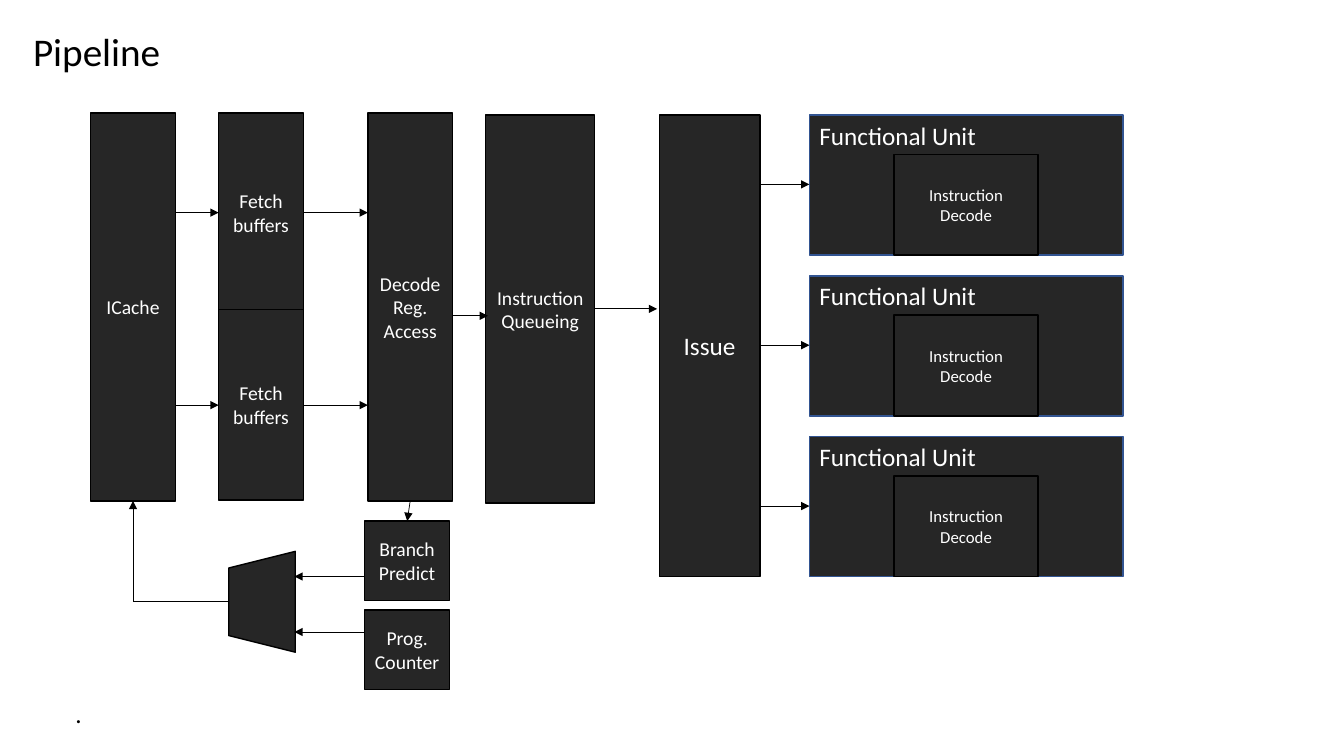
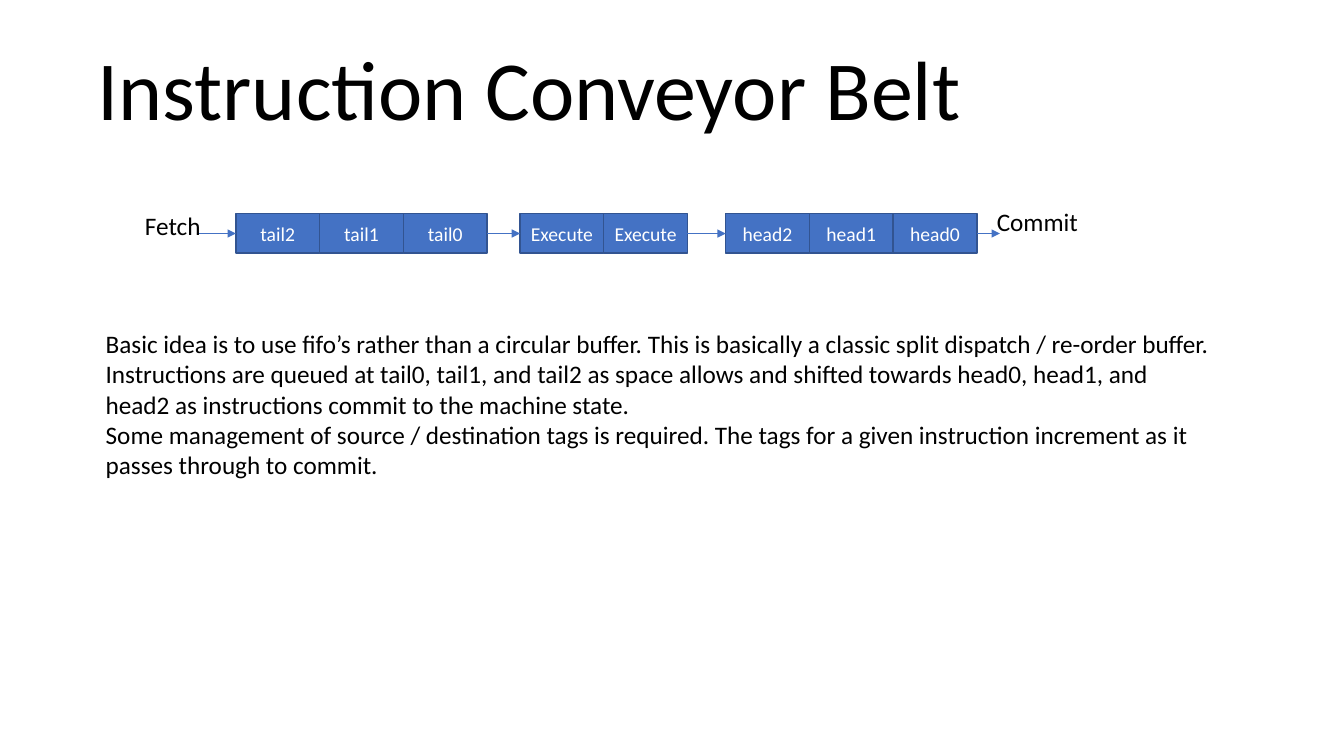
from lxml import etree
from pptx import Presentation
from pptx.dml.color import RGBColor
from pptx.enum.shapes import MSO_CONNECTOR, MSO_SHAPE
from pptx.enum.text import MSO_ANCHOR, PP_ALIGN
from pptx.oxml.ns import qn
from pptx.util import Pt

RECTANGLE, TRAPEZOID = MSO_SHAPE.RECTANGLE, MSO_SHAPE.TRAPEZOID
STRAIGHT = MSO_CONNECTOR.STRAIGHT
LEFT, CENTER = PP_ALIGN.LEFT, PP_ALIGN.CENTER
TOP, MIDDLE, BOTTOM = MSO_ANCHOR.TOP, MSO_ANCHOR.MIDDLE, MSO_ANCHOR.BOTTOM

FONT = "Calibri"
BLACK, WHITE, CHARCOAL = "000000", "FFFFFF", "262626"
BLUE, NAVY = "4472C4", "325491"


def color(hex_string):
    return RGBColor.from_string(hex_string)


class Deck:
    def __init__(self):
        self.presentation = Presentation()
        self.presentation.slide_width = Pt(960)
        self.presentation.slide_height = Pt(540)

    def new_slide(self, fill, outline, arrow):
        self.fill, self.outline, self.arrow_color = fill, outline, arrow
        layout = self.presentation.slide_layouts[6]
        self.shapes = self.presentation.slides.add_slide(layout).shapes

    def set_text(self, frame, content, size, text_color, align, anchor, spacing=None):
        frame.text = content
        frame.vertical_anchor = anchor
        for paragraph in frame.paragraphs:
            paragraph.alignment = align
            paragraph.line_spacing = spacing
            for run in paragraph.runs:
                run.font.name = FONT
                run.font.size = Pt(size)
                run.font.color.rgb = color(text_color)

    def block(self, left, top, width, height, content="", size=14, outline=None,
              align=CENTER, anchor=MIDDLE, preset=RECTANGLE, rotation=0):
        block = self.shapes.add_shape(preset, Pt(left), Pt(top), Pt(width), Pt(height))
        block.shadow.inherit = False
        block.rotation = rotation
        block.fill.solid()
        block.fill.fore_color.rgb = color(self.fill)
        block.line.color.rgb = color(outline or self.outline)
        block.line.width = Pt(1)
        self.set_text(block.text_frame, content, size, WHITE, align, anchor)

    def text(self, left, top, width, height, content, size=18, wrap=True,
             align=LEFT, anchor=TOP, spacing=None):
        box = self.shapes.add_textbox(Pt(left), Pt(top), Pt(width), Pt(height))
        box.text_frame.word_wrap = wrap
        self.set_text(box.text_frame, content, size, BLACK, align, anchor, spacing)

    def line(self, x1, y1, x2, y2, head=True):
        connector = self.shapes.add_connector(STRAIGHT, Pt(x1), Pt(y1), Pt(x2), Pt(y2))
        connector.line.color.rgb = color(self.arrow_color)
        connector.line.width = Pt(0.5)
        properties = connector.element.spPr
        if head:
            etree.SubElement(properties.get_or_add_ln(), qn("a:tailEnd"), type="triangle")
        etree.SubElement(properties, qn("a:effectLst"))


def pipeline(deck):
    deck.new_slide(CHARCOAL, BLACK, BLACK)
    deck.text(16.5, 15.8, 106.6, 41, "Pipeline", 28, wrap=False)
    deck.text(46.8, 495.4, 855.4, 28.8, ".")

    stage_top, stage_width, stage_height = 80.6, 60.5, 277.2
    icache, fetch, decode, queue, issue, unit = 64.8, 156.2, 262.8, 347, 470.9, 578.2
    deck.block(icache, stage_top, stage_width, stage_height, "ICache")
    deck.block(fetch, stage_top, stage_width, 142.6, "Fetch buffers")
    deck.block(fetch, 221, stage_width, 136.1, "Fetch buffers")
    deck.block(decode, stage_top, stage_width, stage_height, "Decode\nReg. Access")
    deck.block(queue, 82.1, 77.8, stage_height, "Instruction Queueing")
    deck.block(issue, 82.1, 72, 329.8, "Issue", 18)

    for lane in (151.9, 289.4):
        deck.line(icache + stage_width, lane, fetch, lane)
        deck.line(fetch + stage_width, lane, decode, lane)
    deck.line(decode + stage_width, 225.6, 348.5, 225.6)
    deck.line(queue + 77.8, 220.6, 469.4, 220.6)

    for row in range(3):
        top = 82.1 + row * 114.9
        deck.block(unit, top, 223.9, 100.1, "Functional Unit", 18, NAVY, LEFT, TOP)
        deck.block(unit + 60.4, top + 28.1, 103, 72, "Instruction Decode", 12)
        deck.line(issue + 72, top + 49.6, unit, top + 49.6)

    predictor = 260.6
    deck.block(predictor, 372.2, stage_width, 56.9, "Branch Predict")
    deck.block(predictor, 435.6, stage_width, 56.9, "Prog. Counter")
    deck.block(151.2, 406.1, 72, 47.5, preset=TRAPEZOID, rotation=270)
    for source in (411.8, 451.4):
        deck.line(predictor, source, 210.3, source)
    deck.line(293, 357.8, 290.9, 372.2)
    deck.line(163.4, 429.8, 95, 429.8, head=False)
    deck.line(95, 429.8, 95, 357.8)


def conveyor_belt(deck):
    deck.new_slide(BLUE, NAVY, BLUE)
    deck.text(18, 12.2, 720, 90.7, "Instruction Conveyor Belt", 60,
              align=CENTER, anchor=BOTTOM, spacing=0.9)

    slot_width, belt_top, belt_middle = 59.8, 152.6, 166.8
    belt = (
        (168.5, ("tail2", "tail1", "tail0")),
        (371.5, ("Execute", "Execute")),
        (518.4, ("head2", "head1", "head0")),
    )
    arrow_start = 140.4
    for left, slots in belt:
        for index, slot in enumerate(slots):
            deck.block(left + index * slot_width, belt_top, slot_width, 28.1, slot)
        deck.line(arrow_start, belt_middle, left, belt_middle)
        arrow_start = left + len(slots) * slot_width
    deck.line(arrow_start, belt_middle, 714.2, belt_middle)

    deck.text(96.5, 146.9, 54.7, 28.8, "Fetch", wrap=False)
    deck.text(704.9, 144, 73.4, 28.8, "Commit", wrap=False)
    deck.text(68.4, 231.1, 807.1, 116.6, "\n".join((
        "Basic idea is to use fifo’s rather than a circular buffer. "
        "This is basically a classic split dispatch / re-order buffer.",
        "Instructions are queued at tail0, tail1, and tail2 as space allows and shifted "
        "towards head0, head1, and head2 as instructions commit to the machine state.",
        "Some management of source / destination tags is required. "
        "The tags for a given instruction increment as it passes through to commit.",
    )))


def main():
    deck = Deck()
    pipeline(deck)
    conveyor_belt(deck)
    deck.presentation.save("out.pptx")


if __name__ == "__main__":
    main()
